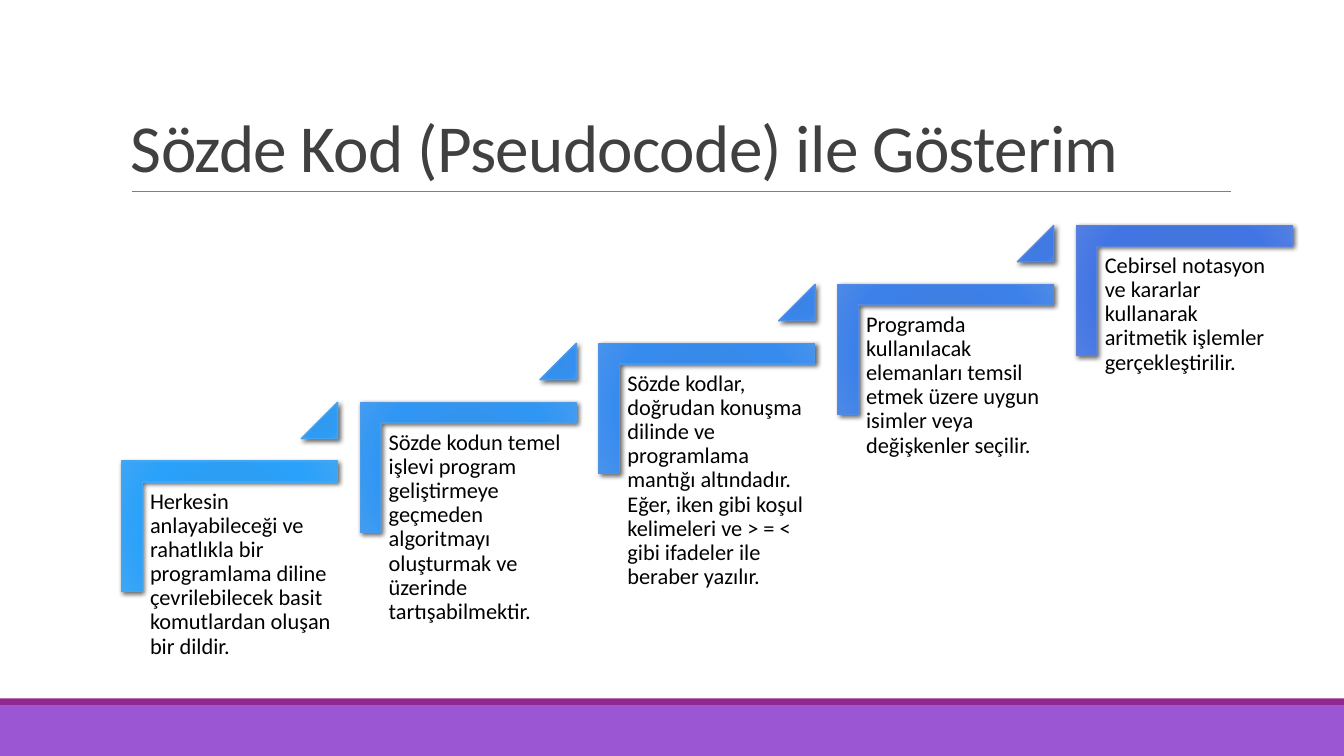
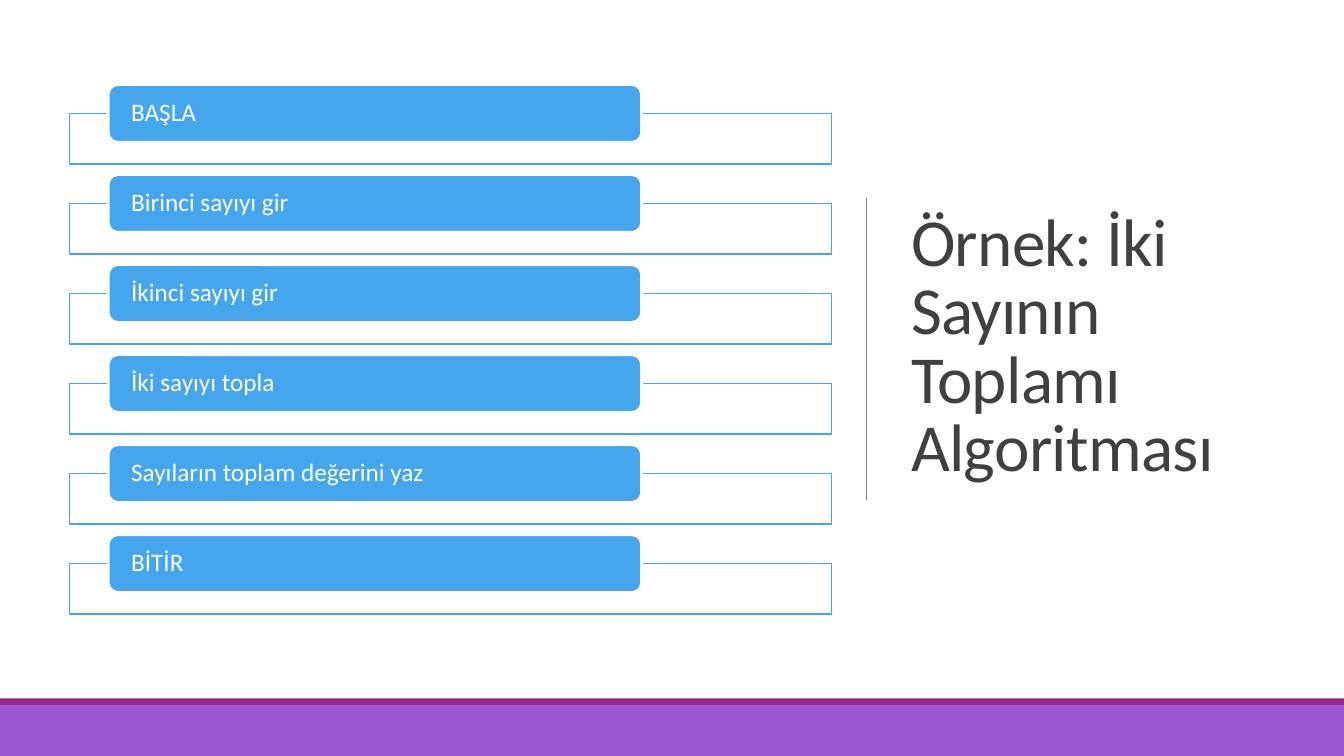
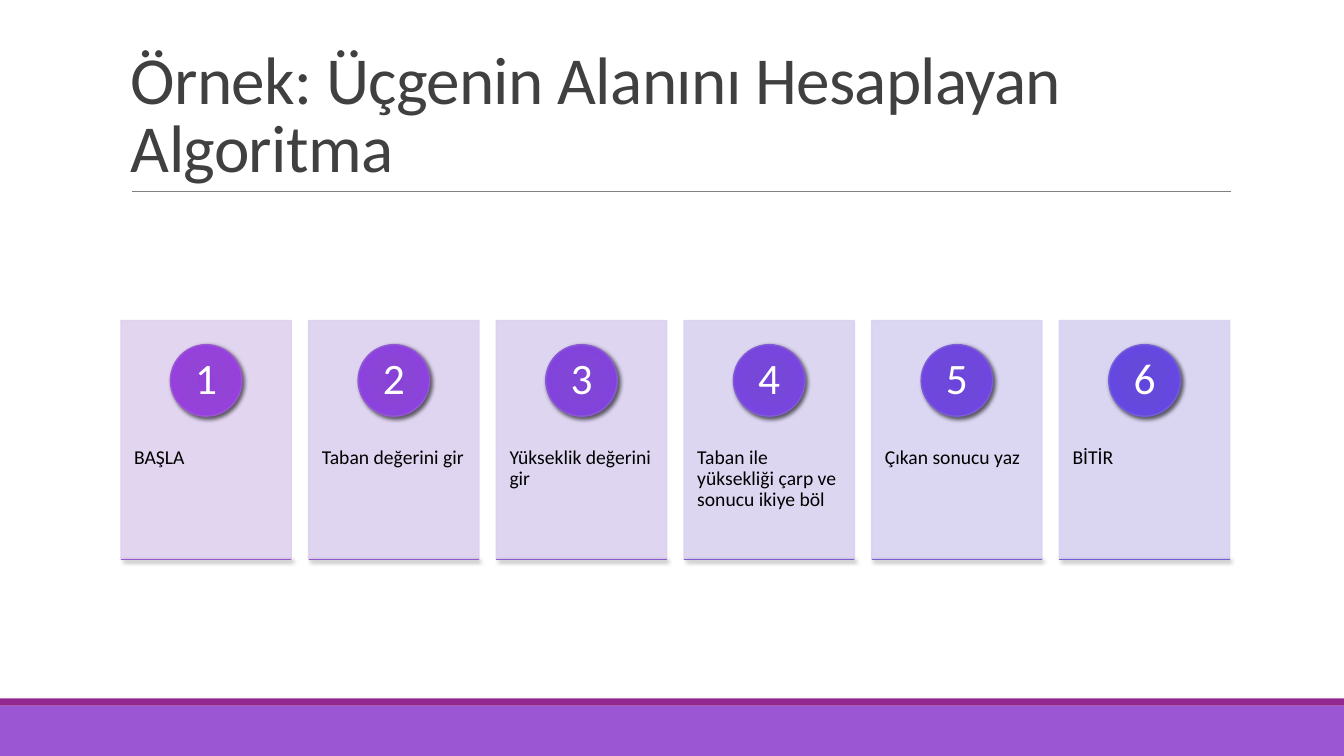
import lxml.etree
import pptx
import pptx.dml.color
import pptx.enum.shapes
import pptx.enum.text
import pptx.oxml.ns
import pptx.util

Pt = pptx.util.Pt
RGBColor = pptx.dml.color.RGBColor
MSO_SHAPE = pptx.enum.shapes.MSO_SHAPE
MSO_ANCHOR = pptx.enum.text.MSO_ANCHOR
PP_ALIGN = pptx.enum.text.PP_ALIGN
qn = pptx.oxml.ns.qn

# Shared look
FONT = "Calibri"
WIDTH, HEIGHT = 960, 540
L_CORNER = MSO_SHAPE.from_xml("corner")
BLACK = RGBColor(0x00, 0x00, 0x00)
WHITE = RGBColor(0xFF, 0xFF, 0xFF)
TITLE_GRAY = RGBColor(0x40, 0x40, 0x40)
RULE_GRAY = RGBColor(0x80, 0x80, 0x80)
PLUM = RGBColor(0x92, 0x27, 0x8F)
PURPLE = RGBColor(0x9B, 0x57, 0xD3)
BLUE = RGBColor(0x45, 0xA5, 0xED)

# Colour ramps: each runs from its first to its second colour
GRADIENT_POSITIONS = (0, 34, 70, 100)
STEP_GRADIENT = (
    (RGBColor(0x29, 0x9D, 0xF4), RGBColor(0x41, 0x72, 0xDE)),
    (RGBColor(0x2D, 0x9E, 0xF3), RGBColor(0x44, 0x75, 0xDD)),
    (RGBColor(0x2A, 0xA1, 0xFA), RGBColor(0x42, 0x75, 0xE4)),
    (RGBColor(0x3D, 0xA6, 0xF5), RGBColor(0x52, 0x80, 0xE2)),
)
STEP_LINE = (BLUE, RGBColor(0x59, 0x82, 0xDB))
CIRCLE_GRADIENT = (
    (RGBColor(0x92, 0x40, 0xD6), RGBColor(0x62, 0x45, 0xDC)),
    (RGBColor(0x93, 0x43, 0xD5), RGBColor(0x65, 0x49, 0xDB)),
    (RGBColor(0x96, 0x41, 0xDB), RGBColor(0x65, 0x47, 0xE1)),
    (RGBColor(0x9C, 0x51, 0xD9), RGBColor(0x71, 0x57, 0xDF)),
)
CIRCLE_LINE = (PURPLE, RGBColor(0x75, 0x5D, 0xD9))
CARD_FILL = (RGBColor(0xDE, 0xD1, 0xEF), RGBColor(0xD6, 0xD2, 0xF1))

# Content
STAIR_TEXTS = (
    "Herkesin anlayabileceği ve rahatlıkla bir programlama diline çevrilebilecek "
    "basit komutlardan oluşan bir dildir.",
    "Sözde kodun temel işlevi program geliştirmeye geçmeden algoritmayı oluşturmak "
    "ve üzerinde tartışabilmektir.",
    "Sözde kodlar, doğrudan konuşma dilinde ve programlama mantığı altındadır. "
    "Eğer, iken gibi koşul kelimeleri ve > = < gibi ifadeler ile beraber yazılır.",
    "Programda kullanılacak elemanları temsil etmek üzere uygun isimler veya "
    "değişkenler seçilir.",
    "Cebirsel notasyon ve kararlar kullanarak aritmetik işlemler gerçekleştirilir.",
)
SUM_STEPS = ("BAŞLA", "Birinci sayıyı gir", "İkinci sayıyı gir", "İki sayıyı topla",
             "Sayıların toplam değerini yaz", "BİTİR")
TRIANGLE_STEPS = ("BAŞLA", "Taban değerini gir", "Yükseklik değerini gir",
                  "Taban ile yüksekliği çarp ve sonucu ikiye böl",
                  "Çıkan sonucu yaz", "BİTİR")


def blend(ramp, fraction):
    start, end = ramp
    return RGBColor(*(round(a + (b - a) * fraction) for a, b in zip(start, end)))


def add_child(parent, tag, **attributes):
    return lxml.etree.SubElement(parent, qn(tag), attributes)


def set_gradient(shape, ramps, fraction):
    """Fill with a radial gradient taken from the ramps."""
    shape.fill.gradient()
    gradient = shape._element.spPr.find(qn("a:gradFill"))
    gradient.clear()
    stops = add_child(gradient, "a:gsLst")
    for position, ramp in zip(GRADIENT_POSITIONS, ramps):
        stop = add_child(stops, "a:gs", pos=str(position * 1000))
        add_child(stop, "a:srgbClr", val=str(blend(ramp, fraction)))
    circle = add_child(gradient, "a:path")
    circle.set("path", "circle")
    add_child(circle, "a:fillToRect", l="100000", t="100000", r="100000", b="100000")


def set_shadow(shape, blur):
    properties = shape._element.spPr
    effects = properties.find(qn("a:effectLst"))
    shadow = add_child(effects, "a:outerShdw", blurRad=str(Pt(blur)), dist=str(Pt(2)),
                       dir="2700000", algn="tl", rotWithShape="0")
    color = add_child(shadow, "a:srgbClr", val=str(BLACK))
    add_child(color, "a:alpha", val="60000")


def set_opacity(shape, percent):
    for color in shape._element.spPr.iter(qn("a:srgbClr")):
        add_child(color, "a:alpha", val=str(percent * 1000))


def add_shape(slide, kind, left, top, width, height, fill=None, line=None, weight=1):
    shape = slide.shapes.add_shape(kind, Pt(left), Pt(top), Pt(width), Pt(height))
    shape.shadow.inherit = False
    if fill is not None:
        shape.fill.solid()
        shape.fill.fore_color.rgb = fill
    if line is None:
        shape.line.fill.background()
    else:
        shape.line.color.rgb = line
        shape.line.width = Pt(weight)
    return shape


def add_line(slide, x1, y1, x2, y2, color, weight):
    line = slide.shapes.add_connector(
        pptx.enum.shapes.MSO_CONNECTOR.STRAIGHT, Pt(x1), Pt(y1), Pt(x2), Pt(y2))
    line.line.color.rgb = color
    line.line.width = Pt(weight)
    add_child(line._element.spPr, "a:effectLst")
    return line


def write_text(shape, text, size, color, insets=(0, 0, 0, 0), anchor=MSO_ANCHOR.TOP,
               align=PP_ALIGN.LEFT, spacing=0.9):
    frame = shape.text_frame
    frame.word_wrap = True
    frame.vertical_anchor = anchor
    frame.margin_left, frame.margin_top, frame.margin_right, frame.margin_bottom = map(Pt, insets)
    paragraph = frame.paragraphs[0]
    paragraph.text = text
    paragraph.alignment = align
    paragraph.line_spacing = spacing
    paragraph.font.name = FONT
    paragraph.font.size = Pt(size)
    paragraph.font.color.rgb = color
    return paragraph


def add_text_box(slide, left, top, width, height, *text, **style):
    box = slide.shapes.add_textbox(Pt(left), Pt(top), Pt(width), Pt(height))
    return write_text(box, *text, **style)


def add_title(slide, text, left, top, width, height, anchor):
    paragraph = add_text_box(slide, left, top, width, height, text, 48, TITLE_GRAY,
                             insets=(7.2, 3.6, 7.2, 3.6), anchor=anchor, spacing=0.85)
    paragraph._p.pPr.find(qn("a:defRPr")).set("spc", "-50")


def add_top_title(slide, text):
    add_line(slide, 94.3, 136.8, 879.1, 136.8, RULE_GRAY, 0.5)
    add_title(slide, text, 86.4, 22.6, 792, 114.2, MSO_ANCHOR.BOTTOM)


def add_slide(presentation):
    """Blank slide with the two footer bands."""
    slide = presentation.slides.add_slide(presentation.slide_layouts[6])
    add_shape(slide, MSO_SHAPE.RECTANGLE, 0, 504, WIDTH, 36, PURPLE)
    add_shape(slide, MSO_SHAPE.RECTANGLE, 0, 498.8, WIDTH, 5.2, PLUM)
    return slide


def add_stair_part(slide, kind, left, top, width, height, adjustments, fraction):
    part = add_shape(slide, kind, left, top, width, height, line=blend(STEP_LINE, fraction))
    for index, value in enumerate(adjustments):
        part.adjustments[index] = value
    set_gradient(part, STEP_GRADIENT, fraction)
    set_shadow(part, 3.5)
    return part


def add_stairs(slide, texts):
    last = len(texts) - 1
    for index, text in enumerate(texts):
        x, y = 102.2 + 170.5 * index, 298.8 - 42.1 * index
        corner = add_stair_part(slide, L_CORNER, x + 15.2, y, 92.9, 154.1,
                                (0.16, 0.16), index / last)
        corner.rotation = 90
        add_text_box(slide, x, y + 46.1, 139, 122.4, text, 16, BLACK, insets=(5, 5, 5, 5))
        if index < last:
            add_stair_part(slide, MSO_SHAPE.ISOSCELES_TRIANGLE, x + 113, y - 11.5, 26, 26,
                           (1,), (index + 0.5) / last)


def add_step_list(slide, texts):
    for index, text in enumerate(texts):
        y = 60.4 + 64.3 * index
        frame = add_shape(slide, MSO_SHAPE.RECTANGLE, 49.7, y + 20.7, 544.3, 36, WHITE)
        set_opacity(frame, 90)
        frame.line.color.rgb = BLUE
        frame.line.width = Pt(1.25)
        label = add_shape(slide, MSO_SHAPE.ROUNDED_RECTANGLE, 77.3, y, 381, 41.3, BLUE, WHITE, 2)
        write_text(label, text, 18, WHITE, insets=(14.4, 0, 14.4, 0), anchor=MSO_ANCHOR.MIDDLE)


def add_cards(slide, texts):
    top, width, height, circle_size = 229, 121.7, 170.6, 51.1
    last = len(texts) - 1
    for index, text in enumerate(texts):
        x = 86.4 + 134.06 * index
        fraction = index / last
        # Card with its text
        color = blend(CARD_FILL, fraction)
        card = add_shape(slide, MSO_SHAPE.RECTANGLE, x, top, width, height, color, color)
        set_opacity(card, 90)
        write_text(card, text, 14, BLACK, insets=(9.4, 90.7, 9.4, 0))
        # Numbered circle
        line_color = blend(CIRCLE_LINE, fraction)
        circle = add_shape(slide, MSO_SHAPE.OVAL, x + (width - circle_size) / 2, top + 17.2,
                           circle_size, circle_size, line=line_color)
        set_gradient(circle, CIRCLE_GRADIENT, fraction)
        set_shadow(circle, 3)
        write_text(circle, str(index + 1), 31, WHITE, anchor=MSO_ANCHOR.MIDDLE,
                   align=PP_ALIGN.CENTER)
        # Base line
        base = add_line(slide, x, top + height, x + width, top + height, line_color, 1)
        set_shadow(base, 3)


def main():
    presentation = pptx.Presentation()
    presentation.slide_width, presentation.slide_height = Pt(WIDTH), Pt(HEIGHT)

    # Pseudocode staircase
    slide = add_slide(presentation)
    add_top_title(slide, "Sözde Kod (Pseudocode) ile Gösterim")
    add_stairs(slide, STAIR_TEXTS)

    # Sum of two numbers
    slide = add_slide(presentation)
    add_title(slide, "Örnek: İki Sayının Toplamı Algoritması", 643.7, 49.7, 265.7, 398.2,
              MSO_ANCHOR.MIDDLE)
    add_line(slide, 618.5, 141.1, 618.5, 357.1, RULE_GRAY, 0.5)
    add_step_list(slide, SUM_STEPS)

    # Area of a triangle
    slide = add_slide(presentation)
    add_top_title(slide, "Örnek: Üçgenin Alanını Hesaplayan Algoritma")
    add_cards(slide, TRIANGLE_STEPS)

    presentation.save("out.pptx")


if __name__ == "__main__":
    main()
